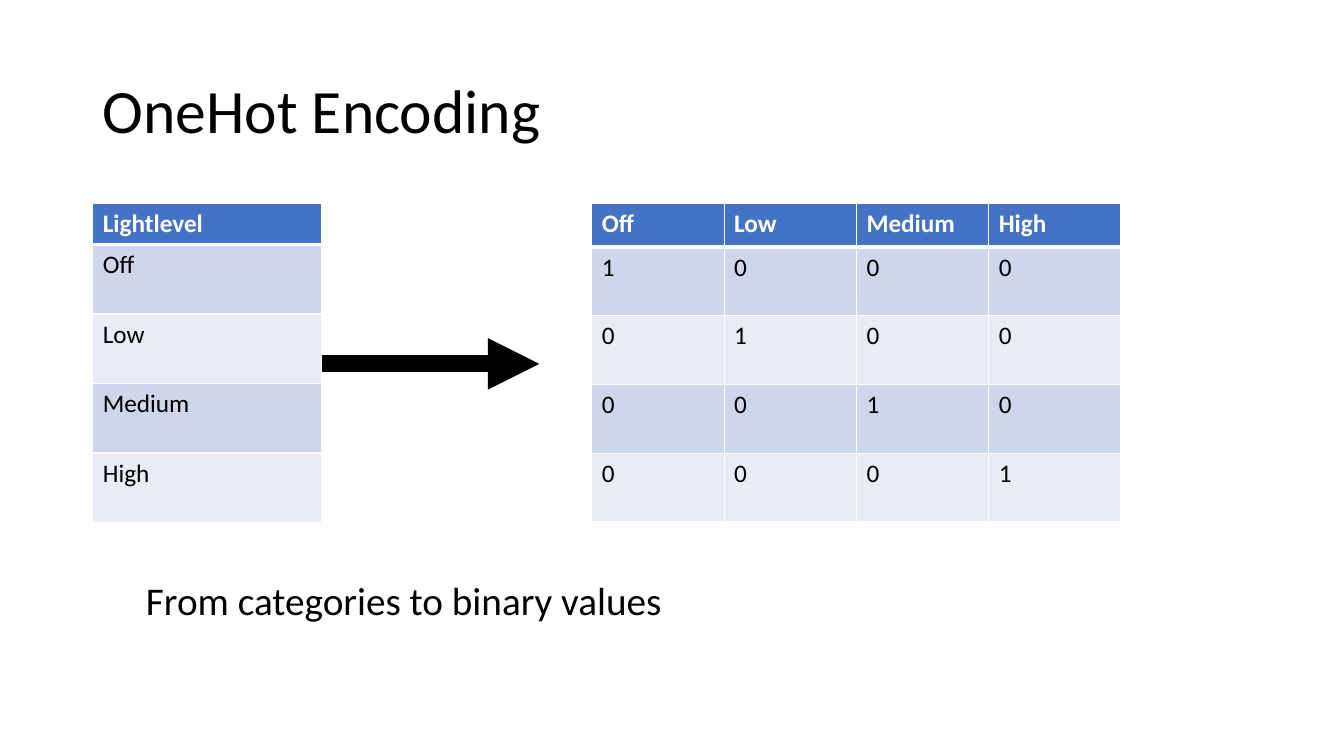
from dataclasses import dataclass
from lxml.etree import SubElement, Element
from pptx import Presentation
from pptx.dml.color import RGBColor as RGB
from pptx.enum.shapes import MSO_CONNECTOR as Conn
from pptx.enum.text import MSO_ANCHOR as Anchor, PP_ALIGN as Align
from pptx.oxml.ns import qn
from pptx.util import Inches, Pt


@dataclass(frozen=True)
class Theme:
    font: str = "Calibri"
    black: str = "000000"
    white: str = "FFFFFF"
    head: str = "4472C4"
    bands: tuple = ("CFD5EA", "E9EBF5")
    title: int = 44
    note: int = 28
    body: int = 18
    thin: int = 1
    thick: int = 3
    arrow: float = 12.25


T = Theme()


def write(frame, text, size, color, bold=False):
    para = frame.paragraphs[0]
    para.alignment = Align.LEFT
    run = para.add_run()
    run.text = text
    font = run.font
    font.name, font.size, font.bold = T.font, Pt(size), bold
    font.color.rgb = RGB.from_string(color)
    return para


def edge(cell, first):
    # Borders come before the fill in the cell properties
    props = cell._tc.get_or_add_tcPr()
    for spot, side in enumerate("LRTB"):
        heavy = first and side == "B"
        line = Element(qn(f"a:ln{side}"),
                       w=str(Pt(T.thick if heavy else T.thin)))
        fill = SubElement(line, qn("a:solidFill"))
        SubElement(fill, qn("a:srgbClr"), val=T.white)
        props.insert(spot, line)


def add_title(slide, box, text):
    title = slide.shapes.title
    title.left, title.top, title.width, title.height = map(Inches, box)
    frame = title.text_frame
    frame.vertical_anchor = Anchor.MIDDLE
    write(frame, text, T.title, T.black).line_spacing = 0.9


def add_grid(slide, box, rows, top):
    # The header has its own height; the other rows share the rest
    left, y, width, height = box
    count, span = len(rows), len(rows[0])
    grid = slide.shapes.add_table(count, span, *map(Inches, box)).table
    for col in grid.columns:
        col.width = Inches(width / span)
    for r, row in enumerate(rows):
        first = r == 0
        grid.rows[r].height = Inches(top if first
                                     else (height - top) / (count - 1))
        for c, text in enumerate(row):
            cell = grid.cell(r, c)
            cell.fill.solid()
            shade = T.head if first else T.bands[(r - 1) % 2]
            cell.fill.fore_color.rgb = RGB.from_string(shade)
            edge(cell, first)
            write(cell.text_frame, text, T.body,
                  T.white if first else T.black, first)


def add_arrow(slide, x, y, width):
    arrow = slide.shapes.add_connector(
        Conn.STRAIGHT, Inches(x), Inches(y), Inches(x + width), Inches(y))
    arrow.line.width = Pt(T.arrow)
    arrow.line.color.rgb = RGB.from_string(T.black)
    SubElement(arrow.line._get_or_add_ln(), qn("a:tailEnd"), type="triangle")
    SubElement(arrow._element.spPr, qn("a:effectLst"))


def add_note(slide, box, text):
    frame = slide.shapes.add_textbox(*map(Inches, box)).text_frame
    frame.word_wrap = True
    write(frame, text, T.note, T.black)


deck = Presentation()
deck.slide_width, deck.slide_height = Inches(13.33), Inches(7.5)
slide = deck.slides.add_slide(deck.slide_layouts[5])

levels = ["Off", "Low", "Medium", "High"]
codes = [["1" if a == b else "0" for b in levels] for a in levels]

add_title(slide, (0.92, 0.4, 11.5, 1.45), "OneHot Encoding")
# Categories, the step, and their binary columns
add_grid(slide, (0.92, 2.02, 2.27, 3.16),
         [["Lightlevel"]] + [[name] for name in levels], 0.4)
add_arrow(slide, 3.19, 3.61, 2.16)
add_grid(slide, (5.87, 2.02, 5.25, 3.16), [levels] + codes, 0.43)
add_note(slide, (1.35, 5.67, 6.7, 0.57), "From categories to binary values")

deck.save("out.pptx")
